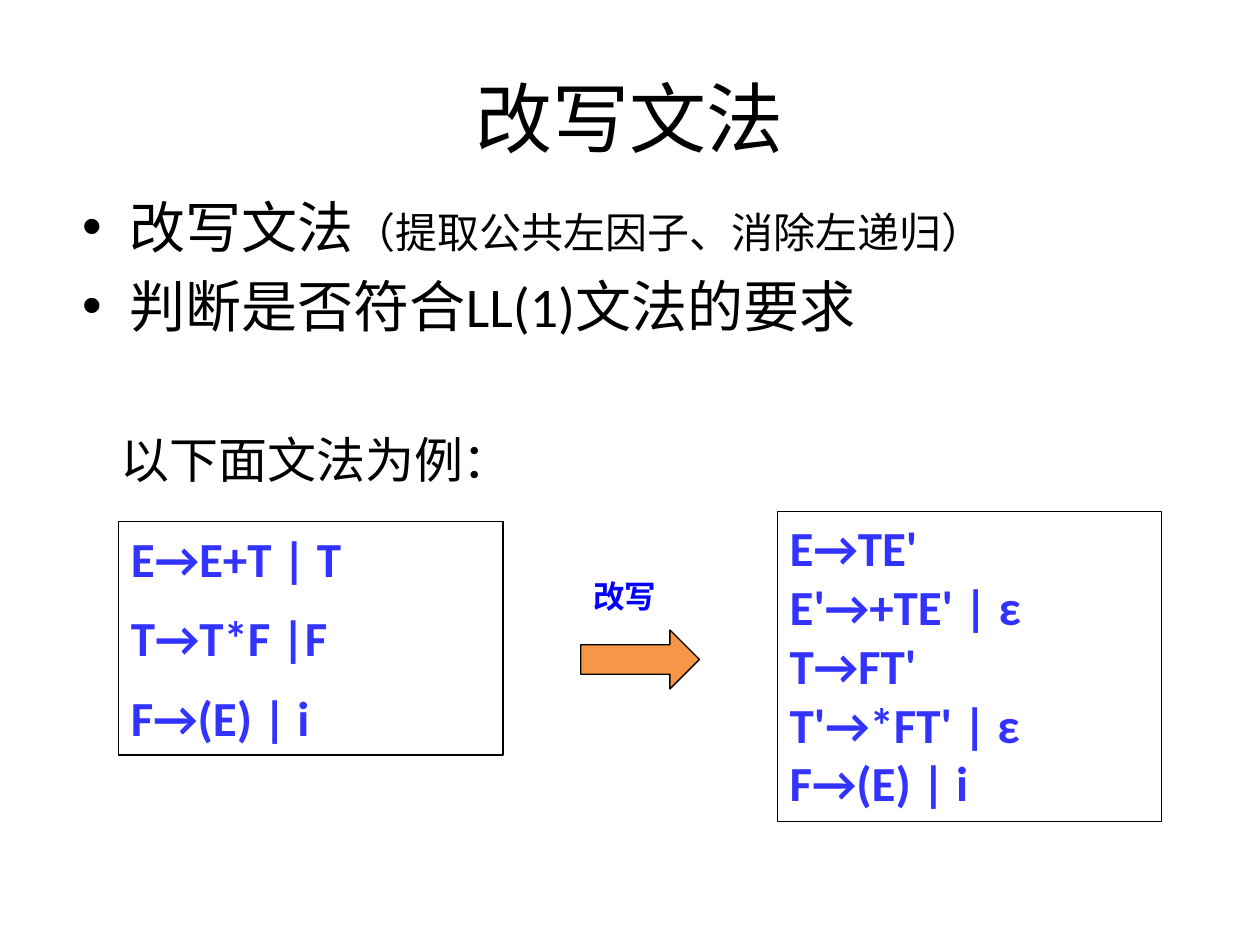
"""Build a slide on rewriting a grammar into LL(1) form."""
from pptx import Presentation
from pptx.dml.color import RGBColor
from pptx.enum.shapes import MSO_SHAPE as Shape
from pptx.enum.text import MSO_AUTO_SIZE as AutoSize, PP_ALIGN as Align
from pptx.util import Cm, Pt

COLOURS = {
    "text": "000000",
    "rule": "3333FF",
    "label": "0000FF",
    "arrow": "F79646",
    "outline": "000000",
}
FONT = "Calibri"
GRAMMAR = ["E→E+T | T", "T→T*F |F", "F→(E) | i"]
REWRITTEN = ["E→TE'\nE'→+TE' | ε\nT→FT'\nT'→*FT' | ε\nF→(E) | i"]


def colour(name):
    return RGBColor.from_string(COLOURS[name])


def place(part, left, top, width, height):
    part.left, part.top = Cm(left), Cm(top)
    part.width, part.height = Cm(width), Cm(height)


def style_run(run, size, colour_name="text", bold=False):
    run.font.name = FONT
    run.font.size = Pt(size)
    run.font.bold = bold
    run.font.color.rgb = colour(colour_name)


def outline(part):
    part.line.color.rgb = colour("outline")
    part.line.width = Pt(0.75)


def fill_title(title, wording):
    place(title, 1.27, 0.76, 22.86, 3.18)
    title.text_frame.text = wording
    heading = title.text_frame.paragraphs[0]
    heading.alignment = Align.CENTER
    style_run(heading.runs[0], 44)


def fill_steps(body, first_step, aside, second_step):
    place(body, 1.4, 3.76, 22.86, 3.48)
    frame = body.text_frame
    frame.auto_size = AutoSize.NONE
    frame.text = f"{first_step}\n{second_step}"
    first, second = frame.paragraphs
    first.space_before = Pt(0)
    style_run(first.runs[0], 32)
    style_run(second.runs[0], 32)
    remark = first.add_run()
    remark.text = aside
    style_run(remark, 24)


def add_text(shapes, paragraphs, position, size, colour_name="text", bold=False):
    box = shapes.add_textbox(*map(Cm, position))
    frame = box.text_frame
    frame.word_wrap = True
    frame.auto_size = AutoSize.SHAPE_TO_FIT_TEXT
    for index, wording in enumerate(paragraphs):
        paragraph = frame.add_paragraph() if index else frame.paragraphs[0]
        paragraph.text = wording
        if index:
            paragraph.space_before = Pt(12)
        for run in paragraph.runs:
            style_run(run, size, colour_name, bold)
    return box


def add_grammar(shapes, rules, position):
    outline(add_text(shapes, rules, position, 28, "rule", True))


def add_rewrite_arrow(shapes):
    step = shapes.add_group_shape()
    arrow = step.shapes.add_shape(
        Shape.RIGHT_ARROW, Cm(11.71), Cm(12.7), Cm(2.39), Cm(1.19))
    arrow.shadow.inherit = False
    arrow.fill.solid()
    arrow.fill.fore_color.rgb = colour("arrow")
    outline(arrow)
    add_text(step.shapes, ["改写"], (11.71, 11.51, 2.59, 1.27), 18, "label", True)


def main():
    deck = Presentation()
    deck.slide_width, deck.slide_height = Cm(25.4), Cm(19.05)
    slide = deck.slides.add_slide(deck.slide_layouts[1])
    shapes = slide.shapes
    fill_title(shapes.title, "改写文法")
    fill_steps(slide.placeholders[1], "改写文法",
               "（提取公共左因子、消除左递归）", "判断是否符合LL(1)文法的要求")
    add_grammar(shapes, GRAMMAR, (2.39, 10.52, 7.75, 4.7))
    add_grammar(shapes, REWRITTEN, (15.67, 10.31, 7.75, 6.25))
    add_text(shapes, ["以下面文法为例："], (2.18, 8.53, 9.32, 1.45), 28)
    add_rewrite_arrow(shapes)
    deck.save("out.pptx")


if __name__ == "__main__":
    main()
